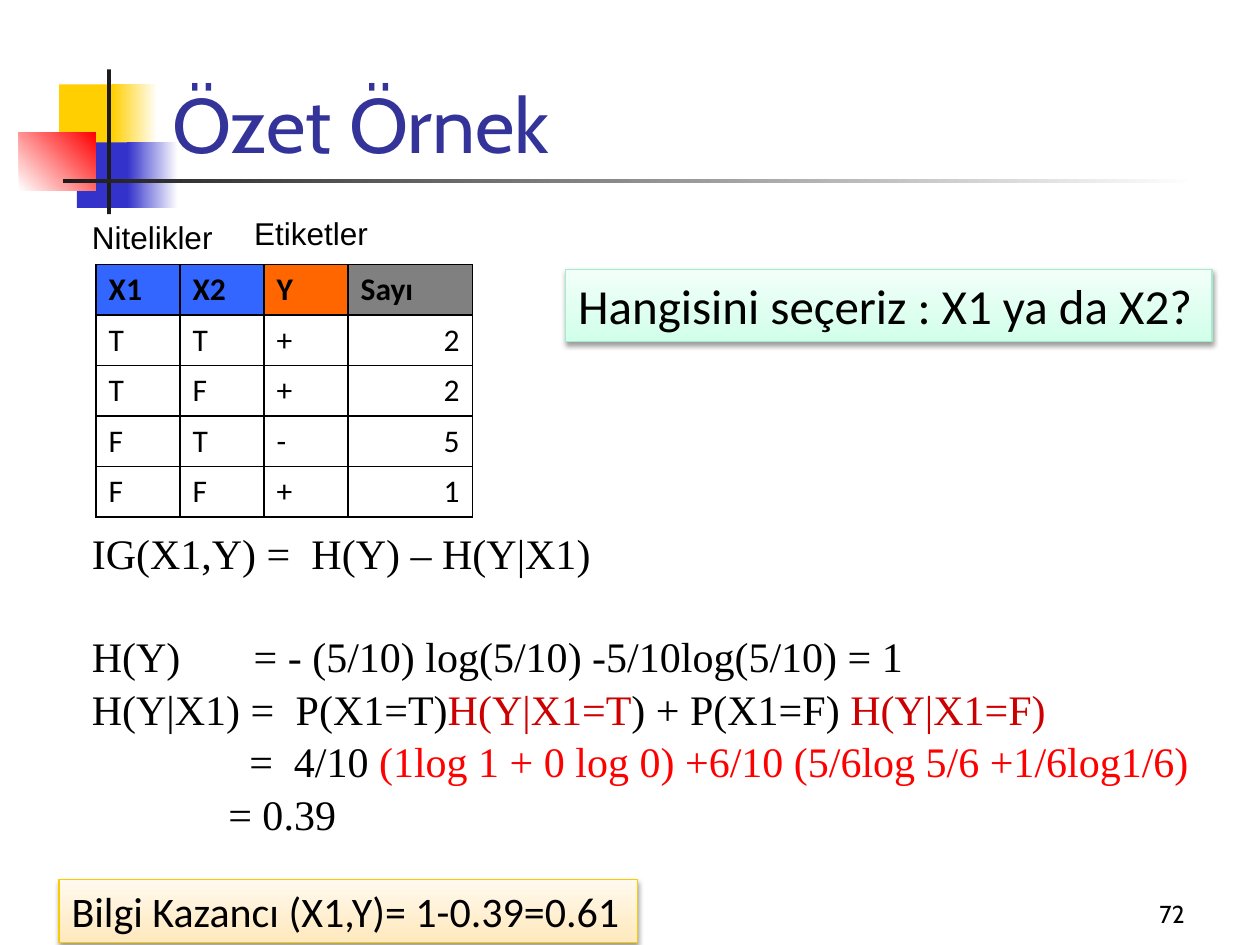
from lxml import etree
from pptx import Presentation
from pptx.dml.color import RGBColor
from pptx.enum.shapes import MSO_SHAPE
from pptx.enum.text import MSO_ANCHOR, PP_ALIGN
from pptx.oxml.ns import qn
from pptx.util import Pt

RECT = MSO_SHAPE.RECTANGLE
TOP, BOTTOM = MSO_ANCHOR.TOP, MSO_ANCHOR.BOTTOM
LEFT, RIGHT = PP_ALIGN.LEFT, PP_ALIGN.RIGHT

BLACK = RGBColor(0, 0, 0)
WHITE = RGBColor(255, 255, 255)
DARK = RGBColor(0x1C, 0x1C, 0x1C)
GOLD = RGBColor(0xFF, 0xCF, 0x01)
BLUE = RGBColor(0x33, 0x33, 0xCC)
RED = RGBColor(0xFF, 0, 0)
BRICK = RGBColor(0xCC, 0, 0)
NAVY = RGBColor(0x33, 0x33, 0x99)
SKY = RGBColor(0x33, 0x66, 0xFF)
ORANGE = RGBColor(0xFF, 0x66, 0)
GRAY = RGBColor(0x80, 0x80, 0x80)
MINT = RGBColor(0xD2, 0xFF, 0xEA)
PALE = RGBColor(0xF2, 0xFF, 0xF9)
GREEN = RGBColor(0xA5, 0xEB, 0xCD)
SAND = RGBColor(0xFF, 0xE9, 0xBD)
CREAM = RGBColor(0xFF, 0xF9, 0xEE)
AMBER = RGBColor(0xFA, 0xCB, 0)

DECOR = [
    ((33.8, 48.2, 34.6, 37.4), [GOLD], 0),
    ((64.1, 48.2, 25.9, 37.4), [GOLD, WHITE], 0),
    ((43.9, 81.4, 33.1, 37.4), [BLUE], 0),
    ((72.7, 81.4, 28.8, 37.4), [BLUE, WHITE], 0),
    ((10.8, 75.6, 44, 33.1), [WHITE, RED], 45),
    ((61.2, 39.6, 2.2, 82.8), [DARK], 0),
    ((36, 102.2, 648, 2.2), [DARK, WHITE], 0),
]
LABELS = [
    ("Özet Örnek", (91.4, 10.1, 613.4, 90), "Cabin", 44, NAVY, LEFT, BOTTOM),
    ("72", (534.2, 498.2, 149.8, 36), "Cabin", 14, BLACK, RIGHT, BOTTOM),
    ("Nitelikler", (45.4, 121, 84.2, 28.8), "Arial", 18, BLACK, LEFT, TOP),
    ("Etiketler", (138.2, 118.8, 80, 28.8), "Arial", 18, BLACK, LEFT, TOP),
]
CARDS = [
    ("Bilgi Kazancı (X1,Y)= 1-0.39=0.61", (33.8, 502.6, 330.5, 36), 24,
     [SAND, CREAM], AMBER),
    ("Hangisini seçeriz : X1 ya da X2?", (323.3, 154.1, 369.4, 41), 28,
     [MINT, PALE], GREEN),
]
FORMULA = [
    (0, [125.5], [("IG(X1,Y) =\tH(Y) – H(Y|X1)", BLACK)]),
    (30, [92.5], [("H(Y)\t= - (5/10) log(5/10) -5/10log(5/10) = 1", BLACK)]),
    (1.2, [116.5], [("H(Y|X1) =\tP(X1=T)", BLACK), ("H(Y|X1=T", BRICK),
                    (") + P(X1=F) ", BLACK), ("H(Y|X1=F)", BRICK)]),
    (1.2, [90, 115.5], [("\t=\t4/10 ", BLACK),
                        ("(1log 1 + 0 log 0) +6/10 (5/6log 5/6 +1/6log1/6)", RED)]),
    (1.2, [78], [("\t= 0.39", BLACK)]),
]
ROWS = [
    ("X1", "X2", "Y", "Sayı"),
    ("T", "T", "+", "2"),
    ("T", "F", "+", "2"),
    ("F", "T", "-", "5"),
    ("F", "F", "+", "1"),
]
HEADS = [SKY, SKY, ORANGE, GRAY]
WIDTHS = [48, 48, 48, 71]
ROW_H = 28.8


def add(parent, tag, **attrs):
    return etree.SubElement(parent, qn(tag), attrs)


def style(font, name, size, color, bold=False):
    font.name, font.size, font.bold = name, Pt(size), bold
    font.color.rgb = color


def put_rect(slide, box, colors, angle):
    shape = slide.shapes.add_shape(RECT, *map(Pt, box))
    shape.shadow.inherit = False
    shape.line.fill.background()
    if len(colors) == 1:
        shape.fill.solid()
        shape.fill.fore_color.rgb = colors[0]
    else:
        shape.fill.gradient()
        shape.fill.gradient_angle = angle
        for stop, color in zip(shape.fill.gradient_stops, colors):
            stop.color.rgb = color
    return shape


def put_text(shape, text, name, size, color, align, anchor):
    frame = shape.text_frame
    frame.text = text
    frame.word_wrap = False
    frame.vertical_anchor = anchor
    para = frame.paragraphs[0]
    para.alignment = align
    style(para.runs[0].font, name, size, color)


def put_card(slide, text, box, size, colors, edge):
    shape = put_rect(slide, box, colors, 90)
    shape.line.color.rgb = edge
    shape.line.width = Pt(0.75)
    effect = shape._element.spPr.find(qn("a:effectLst"))
    shade = add(effect, "a:outerShdw", blurRad=str(Pt(3.1)), dist=str(Pt(1.6)),
                dir="5400000", rotWithShape="0")
    tint = add(shade, "a:srgbClr", val=str(BLACK))
    add(tint, "a:alpha", val="38000")
    put_text(shape, text, "Calibri", size, BLACK, LEFT, TOP)


def put_formula(slide):
    box = slide.shapes.add_textbox(Pt(45.4), Pt(298), Pt(657.4), Pt(181.4))
    frame = box.text_frame
    frame.word_wrap = True
    for i, (gap, stops, parts) in enumerate(FORMULA):
        para = frame.add_paragraph() if i else frame.paragraphs[0]
        if gap:
            para.space_before = Pt(gap)
        tabs = add(para._p.get_or_add_pPr(), "a:tabLst")
        for stop in stops:
            add(tabs, "a:tab", pos=str(Pt(stop)), algn="l")
        for text, color in parts:
            run = para.add_run()
            run.text = text
            style(run.font, "Times New Roman", 24, color)


def put_border(cell):
    props = cell._tc.get_or_add_tcPr()
    for side in ("a:lnL", "a:lnR", "a:lnT", "a:lnB"):
        line = add(props, side, w=str(Pt(1)))
        add(add(line, "a:solidFill"), "a:srgbClr", val=str(BLACK))


def put_table(slide):
    table = slide.shapes.add_table(
        len(ROWS), len(WIDTHS), Pt(54.9), Pt(151.2),
        Pt(sum(WIDTHS)), Pt(ROW_H * len(ROWS))).table
    table.horz_banding = False
    for col, width in zip(table.columns, WIDTHS):
        col.width = Pt(width)
    for r, row in enumerate(ROWS):
        table.rows[r].height = Pt(ROW_H)
        for c, text in enumerate(row):
            cell = table.cell(r, c)
            put_border(cell)
            cell.vertical_anchor = BOTTOM
            if r:
                cell.fill.background()
            else:
                cell.fill.solid()
                cell.fill.fore_color.rgb = HEADS[c]
            cell.text_frame.text = text
            para = cell.text_frame.paragraphs[0]
            para.alignment = RIGHT if r and c == len(row) - 1 else LEFT
            style(para.runs[0].font, "Calibri", 18, BLACK, r == 0)


def main():
    deck = Presentation()
    deck.slide_width, deck.slide_height = Pt(720), Pt(540)
    slide = deck.slides.add_slide(deck.slide_layouts[6])
    for box, colors, angle in DECOR:
        put_rect(slide, box, colors, angle)
    for text, box, *look in LABELS:
        shape = slide.shapes.add_textbox(*map(Pt, box))
        put_text(shape, text, *look)
        shape.text_frame.word_wrap = True
    put_formula(slide)
    for card in CARDS:
        put_card(slide, *card)
    put_table(slide)
    deck.save("out.pptx")


if __name__ == "__main__":
    main()
